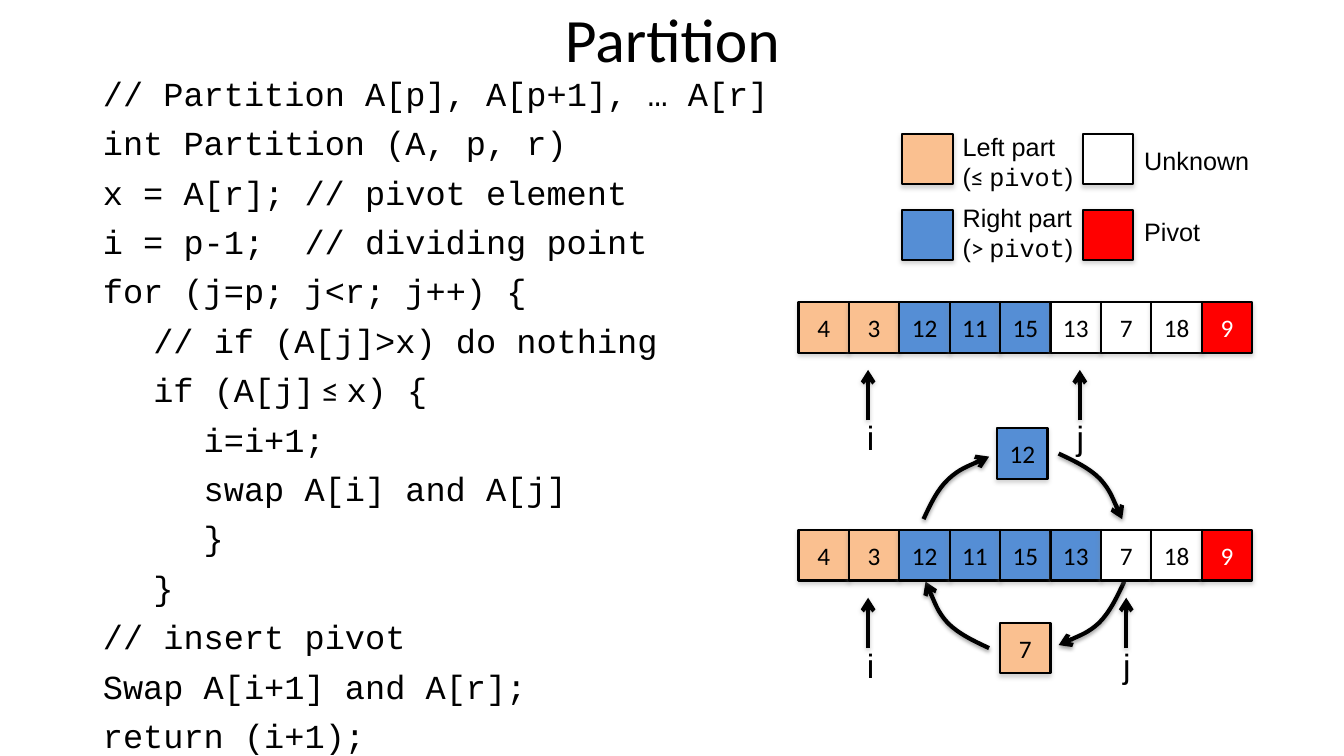
"""Build the Partition slide: pseudocode, colour legend and two array states."""
from lxml.etree import SubElement
from pptx import Presentation
from pptx.dml.color import RGBColor
from pptx.enum.shapes import MSO_CONNECTOR, MSO_SHAPE
from pptx.enum.text import MSO_ANCHOR, MSO_AUTO_SIZE, PP_ALIGN
from pptx.oxml.ns import qn
from pptx.util import Inches, Pt

PEACH, BLUE, WHITE, RED, BLACK = "FAC090", "558ED5", "FFFFFF", "FF0000", "000000"
CELL = 0.5
CODE = [
    "// Partition A[p], A[p+1], … A[r]",
    "int Partition (A, p, r)",
    "x = A[r];\t// pivot element",
    "i = p-1;\t// dividing point",
    "for (j=p; j<r; j++) {",
    "\t// if (A[j]>x) do nothing",
    "\tif (A[j] ≤ x) {",
    "\t\ti=i+1;",
    "\t\tswap A[i] and A[j]",
    "\t\t}",
    "\t}",
    "// insert pivot",
    "Swap A[i+1] and A[r];",
    "return (i+1);",
]


def write(paragraph, text, font="Arial", size=18, color=BLACK):
    run = paragraph.add_run()
    run.text = text
    run.font.name = font
    run.font.size = Pt(size)
    run.font.color.rgb = RGBColor.from_string(color)


def outline(shape, width, shadow_color, opacity, distance, arrow=False):
    shape.line.color.rgb = RGBColor.from_string(BLACK)
    shape.line.width = Pt(width)
    properties = shape._element.spPr
    if arrow:
        SubElement(properties.find(qn("a:ln")), qn("a:tailEnd"), type="arrow")
    effects = SubElement(properties, qn("a:effectLst"))
    shadow = SubElement(effects, qn("a:outerShdw"), blurRad=str(Pt(3.1)),
                        dist=str(Pt(distance)), dir="5400000", rotWithShape="0")
    tint = SubElement(shadow, qn("a:srgbClr"), val=shadow_color)
    SubElement(tint, qn("a:alpha"), val=str(opacity * 1000))


presentation = Presentation()
presentation.slide_width, presentation.slide_height = Inches(13.33), Inches(7.5)
slide = presentation.slides.add_slide(presentation.slide_layouts[1])
title, body = slide.placeholders
shapes = slide.shapes

title.left, title.top, title.width, title.height = map(Inches, (2.17, -0.25, 9, 1.25))
title.text_frame.vertical_anchor = MSO_ANCHOR.MIDDLE
title.text_frame.paragraphs[0].alignment = PP_ALIGN.CENTER
write(title.text_frame.paragraphs[0], "Partition", font="Calibri", size=44)

body.left, body.top, body.width, body.height = map(Inches, (0.92, 0.67, 9.25, 6.67))
body.text_frame.auto_size = MSO_AUTO_SIZE.NONE
for index, line in enumerate(CODE):
    paragraph = body.text_frame.add_paragraph() if index else body.text_frame.paragraphs[0]
    paragraph.space_before = Pt(6.5 if index else 0)
    layout = paragraph._p.get_or_add_pPr()
    layout.set("marL", "0")
    layout.set("indent", "0")
    SubElement(layout, qn("a:buNone"))
    tabs = SubElement(layout, qn("a:tabLst"))
    for stop in (0.5, 1, 2):
        SubElement(tabs, qn("a:tab"), pos=str(Inches(stop)), algn="l")
    for piece, font in zip(line.partition(" ≤ "), ("Courier New", "Calibri", "Courier New")):
        if piece:
            write(paragraph, piece, font=font, size=24)

swap_curves = [
    [(11.15, 5.77), (11.08, 5.92), (11.01, 6.07), (10.9, 6.18),
     (10.79, 6.28), (10.5, 6.4), (10.5, 6.4)],
    [(9.81, 6.43), (9.66, 6.36), (9.51, 6.29), (9.4, 6.18),
     (9.3, 6.07), (9.18, 5.77), (9.18, 5.77)],
    [(9.16, 5.15), (9.23, 5), (9.3, 4.85), (9.41, 4.75),
     (9.52, 4.65), (9.81, 4.53), (9.81, 4.53)],
    [(10.5, 4.5), (10.65, 4.57), (10.8, 4.64), (10.91, 4.75),
     (11.01, 4.86), (11.13, 5.15), (11.13, 5.15)],
]
for points in swap_curves:
    start, *controls = [(Inches(x), Inches(y)) for x, y in points]
    builder = shapes.build_freeform(*start)
    builder.add_line_segments(controls, close=False)
    curve = builder.convert_to_shape()
    curve.fill.background()
    outline(curve, 3, BLACK, 38, 1.6, arrow=True)
    drawing = curve._element.xpath(".//a:path")[0]
    segments = drawing.findall(qn("a:lnTo"))
    for first in range(0, len(segments), 3):
        bezier = SubElement(drawing, qn("a:cubicBezTo"))
        for segment in segments[first:first + 3]:
            bezier.append(segment[0])
            drawing.remove(segment)

cells = [(9.92, 6.18, PEACH, "7"), (9.89, 4.25, BLUE, "12")]
labels = [
    (9.45, 1.25, 1.31, "Left part", "≤ "),
    (9.45, 1.96, 1.3, "Right part", "> "),
    (11.25, 1.39, 1.25, "Unknown", ""),
    (11.25, 2.1, 0.76, "Pivot", ""),
]
for left, top, width, name, relation in labels:
    label = shapes.add_textbox(Inches(left), Inches(top), Inches(width),
                               Inches(0.71 if relation else 0.4))
    label.text_frame.word_wrap = False
    write(label.text_frame.paragraphs[0], name)
    if relation:
        condition = label.text_frame.add_paragraph()
        write(condition, "(")
        write(condition, relation, font="Calibri")
        write(condition, "pivot", font="Courier New")
        write(condition, ")")
for left, top, fill in [(8.95, 1.33, PEACH), (8.95, 2.08, BLUE),
                        (10.74, 1.33, WHITE), (10.74, 2.08, RED)]:
    cells.append((left, top, fill, ""))

values = [4, 3, 12, 11, 15, 13, 7, 18, 9]
for top, blue_count, j_left, j_arrow in [(3, 3, 10.58, 10.71), (5.26, 4, 11.04, 11.17)]:
    fills = [PEACH] * 2 + [BLUE] * blue_count + [WHITE] * (6 - blue_count) + [RED]
    for column, (value, fill) in enumerate(zip(values, fills)):
        cells.append((7.92 + column * CELL, top, fill, str(value)))
    for name, left, arrow_x in [("i", 8.5, 8.61), ("j", j_left, j_arrow)]:
        index_label = shapes.add_textbox(Inches(left), Inches(top + 1.09),
                                         Inches(0.28), Inches(0.5))
        index_label.text_frame.word_wrap = False
        write(index_label.text_frame.paragraphs[0], name, size=24)
        pointer = shapes.add_connector(MSO_CONNECTOR.STRAIGHT, Inches(arrow_x),
                                       Inches(top + 1.17), Inches(arrow_x), Inches(top + 0.67))
        outline(pointer, 3, "808080", 38, 1.6, arrow=True)

for left, top, fill, value in cells:
    cell = shapes.add_shape(MSO_SHAPE.RECTANGLE, Inches(left), Inches(top),
                            Inches(CELL), Inches(CELL))
    cell.fill.solid()
    cell.fill.fore_color.rgb = RGBColor.from_string(fill)
    outline(cell, 1.5, "808080", 35, 1.8)
    if value:
        cell.text_frame.vertical_anchor = MSO_ANCHOR.MIDDLE
        cell.text_frame.paragraphs[0].alignment = PP_ALIGN.CENTER
        write(cell.text_frame.paragraphs[0], value, font="Calibri",
              color=WHITE if fill == RED else BLACK)

presentation.save("out.pptx")
